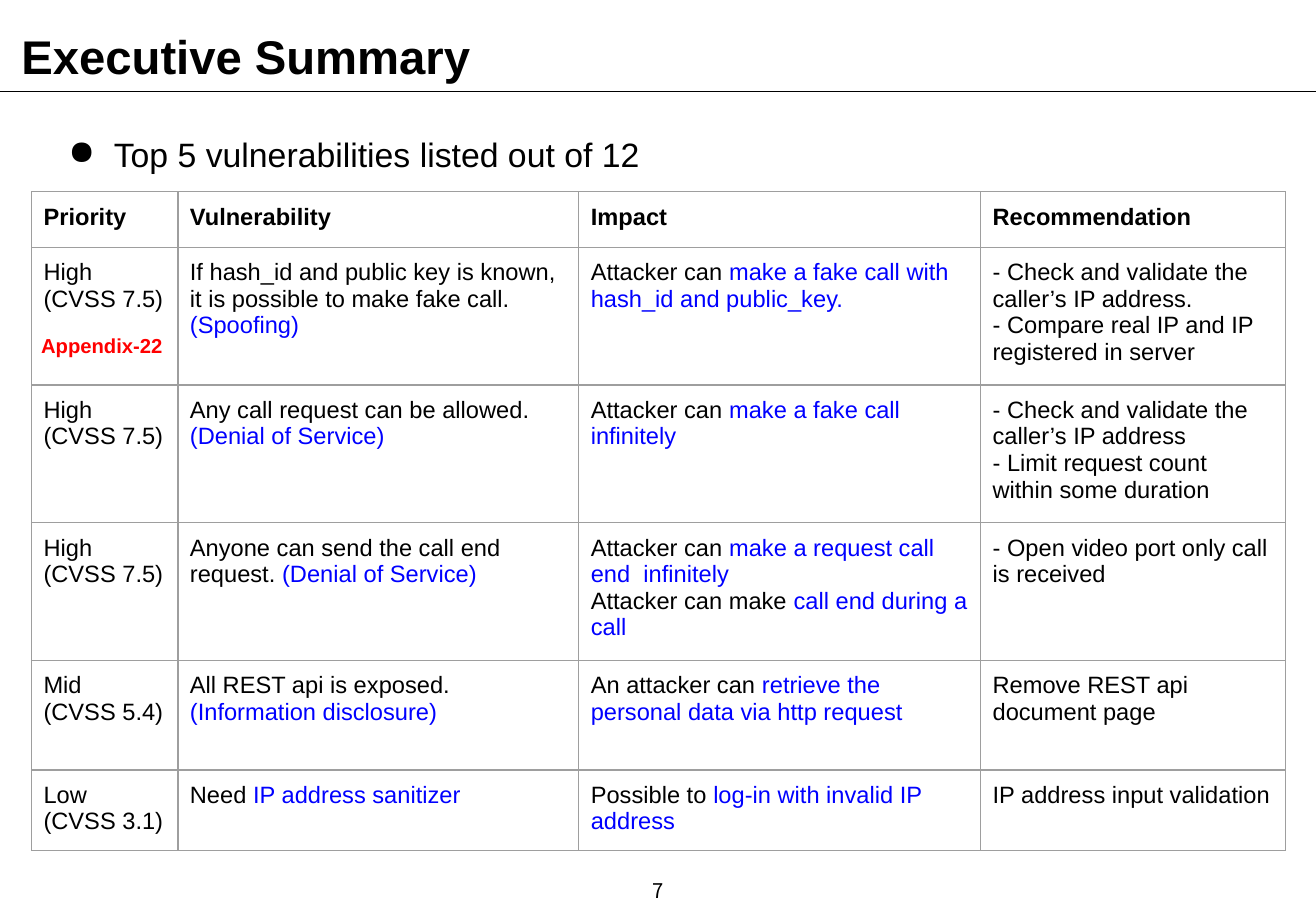
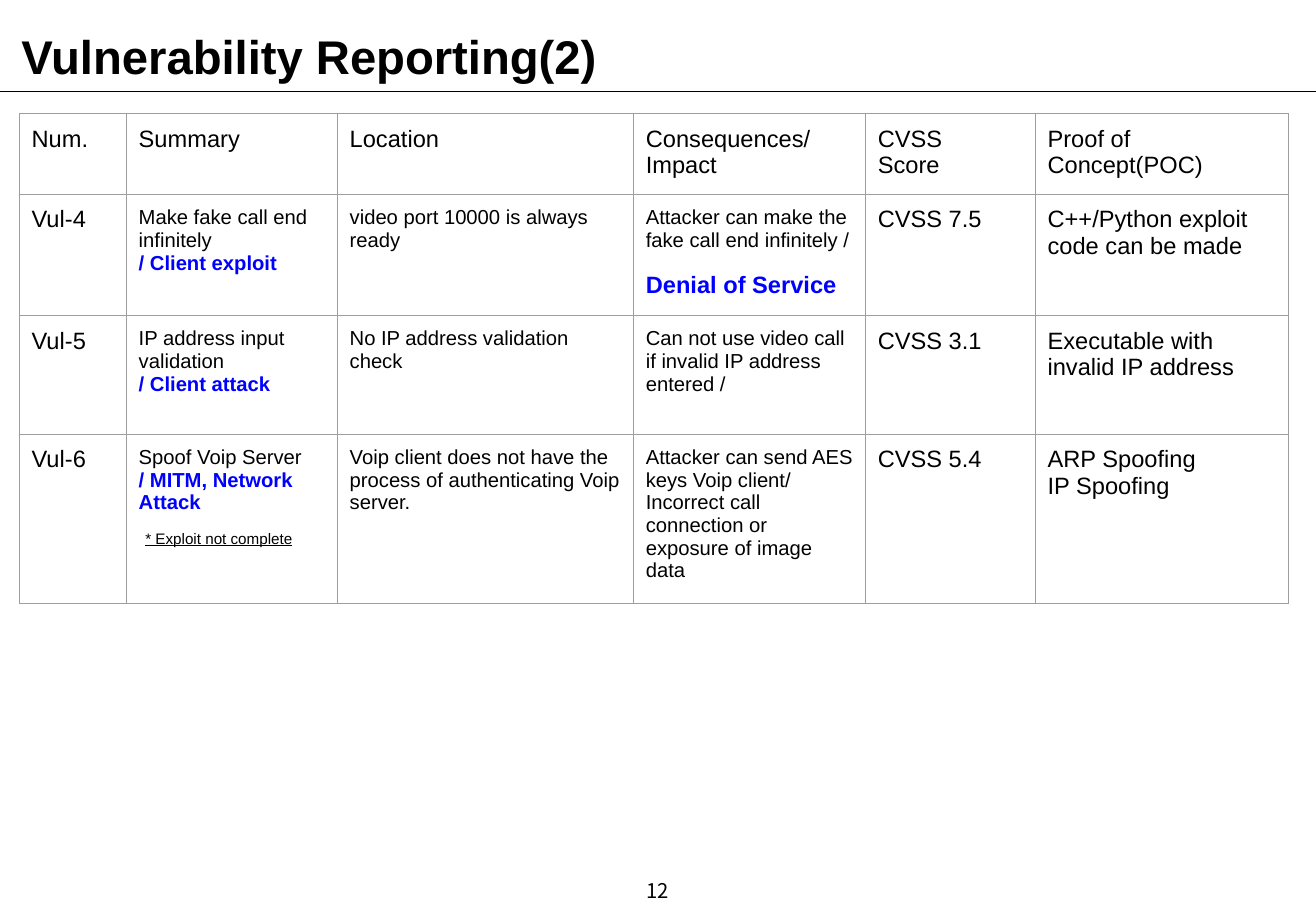
import pptx
import pptx.dml.color
import pptx.enum.shapes
import pptx.enum.text
import pptx.oxml
import pptx.oxml.ns
import pptx.util
from pptx.util import Cm, Pt

RGBColor = pptx.dml.color.RGBColor
BLACK = RGBColor(0x00, 0x00, 0x00)
BLUE = RGBColor(0x00, 0x00, 0xFF)
RED = RGBColor(0xFF, 0x00, 0x00)
GREY = RGBColor(0x9E, 0x9E, 0x9E)

BODY_FONT = "Arial"
NUMBER_FONT = "Noto Sans CJK KR"
PAGE_WIDTH, PAGE_HEIGHT = Cm(27.51), Cm(19.05)
RULE_TOP = Cm(1.91)
INSET = Cm(0.25)
THIN_INSET = Cm(0.13)

# Text between bars is highlighted; each line break starts a paragraph.
SUMMARY_ROWS = [
    ["Priority", "Vulnerability", "Impact", "Recommendation"],
    ["High\n(CVSS 7.5)",
     "If hash_id and public key is known, it is possible to make fake call.\n|(Spoofing)|",
     "Attacker can |make a fake call with hash_id and public_key.|",
     "- Check and validate the caller’s IP address.\n"
     "- Compare real IP and IP registered in server"],
    ["High\n(CVSS 7.5)",
     "Any call request can be allowed.\n|(Denial of Service)|",
     "Attacker can |make a fake call infinitely|",
     "- Check and validate the caller’s IP address\n"
     "- Limit request count within some duration"],
    ["High\n(CVSS 7.5)",
     "Anyone can send the call end request. |(Denial of Service)|",
     "Attacker can |make a request call end  infinitely|\n"
     "Attacker can make |call end during a call|",
     "- Open video port only call is received"],
    ["Mid\n(CVSS 5.4)",
     "All REST api is exposed.\n|(Information disclosure)|",
     "An attacker can |retrieve the personal data via http request|",
     "Remove REST api document page"],
    ["Low\n(CVSS 3.1)",
     "Need |IP address sanitizer|",
     "Possible to |log-in with invalid IP address|",
     "IP address input validation"],
]
SUMMARY_COLUMNS = [3.06, 8.38, 8.4, 6.38]
SUMMARY_HEIGHTS = [1.16, 2.88, 2.88, 2.87, 2.3, 1.69]

REPORT_ROWS = [
    ["Num.", "Summary", "Location", "Consequences/\nImpact", "CVSS\nScore",
     "Proof of\nConcept(POC)"],
    ["Vul-4", "Make fake call end infinitely\n|/ Client exploit|",
     "video port 10000 is always ready",
     "Attacker can make the fake call end infinitely /\n|Denial of Service|",
     "CVSS 7.5", "C++/Python exploit code can be made"],
    ["Vul-5", "IP address input validation\n|/ Client attack|",
     "No IP address validation check",
     "Can not use video call if invalid IP address entered /",
     "CVSS 3.1", "Executable with invalid IP address"],
    ["Vul-6", "Spoof Voip Server\n|/ MITM, Network Attack|",
     "Voip client does not have the process of authenticating Voip server.",
     "Attacker can send AES keys Voip client/ Incorrect call connection "
     "or exposure of image data",
     "CVSS 5.4", "ARP Spoofing\nIP Spoofing"],
]
REPORT_COLUMNS = [2.24, 4.41, 6.19, 4.85, 3.55, 5.29]
REPORT_HEIGHTS = [1.62, 2.48, 2.48, 3.36]
REPORT_DETAIL_COLUMNS = (1, 2, 3)


def set_font(font, size, color=BLACK, name=BODY_FONT, **styles):
    font.color.rgb = color
    for key, value in {"size": Pt(size), "name": name, **styles}.items():
        setattr(font, key, value)


def add_text(slide, frame, text, size, inset=THIN_INSET, anchor="TOP", **font_format):
    """Add a one-paragraph box; frame is left, top, width, height in cm."""
    box = slide.shapes.add_textbox(*map(Cm, frame))
    settings = {
        "word_wrap": True, "margin_left": INSET, "margin_right": INSET,
        "margin_top": inset, "margin_bottom": inset,
        "vertical_anchor": pptx.enum.text.MSO_ANCHOR[anchor],
    }
    for key, value in settings.items():
        setattr(box.text_frame, key, value)
    para = box.text_frame.paragraphs[0]
    span = para.add_run()
    span.text = text
    set_font(span.font, size, **font_format)
    return para


def add_bullet(para):
    properties = para._p.get_or_add_pPr()
    properties.set("marL", str(Cm(1.27)))
    properties.set("indent", str(Cm(-0.95)))
    namespace = pptx.oxml.ns.nsdecls("a")
    for xml in (f'<a:buClr {namespace}><a:srgbClr val="{BLACK}"/></a:buClr>',
                f'<a:buChar {namespace} char="●"/>'):
        properties.append(pptx.oxml.parse_xml(xml))


def add_page(deck, title, number):
    """Add a slide with the shared title, rule and page number."""
    slide = deck.slides.add_slide(deck.slide_layouts[6])
    rule = slide.shapes.add_connector(
        pptx.enum.shapes.MSO_CONNECTOR.STRAIGHT, 0, RULE_TOP, PAGE_WIDTH, RULE_TOP)
    rule.line.color.rgb = BLACK
    rule.line.width = Pt(0.75)
    rule._element.spPr.append(
        pptx.oxml.parse_xml(f'<a:effectLst {pptx.oxml.ns.nsdecls("a")}/>'))
    heading = add_text(slide, (0.2, 0.2, 19.84, 1.7), title, 28, bold=True)
    heading.line_spacing = 1.2
    footer = add_text(slide, (10.54, 18.11, 6.43, 1.02), str(number), 12,
                      anchor="MIDDLE", name=NUMBER_FONT)
    footer.alignment = pptx.enum.text.PP_ALIGN.CENTER
    return slide


def style_cell(cell):
    for side in ("left", "right", "top", "bottom"):
        setattr(cell, f"margin_{side}", INSET)
    properties = cell._tc.get_or_add_tcPr()
    for edge in ("lnL", "lnR", "lnT", "lnB"):
        properties.append(pptx.oxml.parse_xml(
            f'<a:{edge} {pptx.oxml.ns.nsdecls("a")} w="{Pt(0.75)}"><a:solidFill>'
            f'<a:srgbClr val="{GREY}"/></a:solidFill></a:{edge}>'))
    cell.fill.background()


def fill_cell(cell, text, size, bold, highlight_bold):
    for index, line in enumerate(text.split("\n")):
        frame = cell.text_frame
        para = frame.add_paragraph() if index else frame.paragraphs[0]
        for part, words in enumerate(line.split("|")):
            if words:
                highlighted = part % 2 == 1
                span = para.add_run()
                span.text = words
                set_font(span.font, size, BLUE if highlighted else BLACK,
                         bold=highlight_bold if highlighted else bold)


def add_grid(slide, left, top, rows, widths, heights, header_bold=False,
             highlight_bold=False, detail_columns=()):
    """Add a table; body cells in detail_columns use the smaller size."""
    table = slide.shapes.add_table(
        len(rows), len(widths), Cm(left), Cm(top),
        Cm(sum(widths)), Cm(sum(heights))).table
    table.first_row = table.horz_banding = False
    for column, width in zip(table.columns, widths):
        column.width = Cm(width)
    for row, height in zip(table.rows, heights):
        row.height = Cm(height)
    for row_index, texts in enumerate(rows):
        for column_index, text in enumerate(texts):
            cell = table.cell(row_index, column_index)
            style_cell(cell)
            size = 12 if row_index and column_index in detail_columns else 14
            fill_cell(cell, text, size, header_bold and row_index == 0, highlight_bold)
    return table


def build_summary(deck):
    slide = add_page(deck, "Executive Summary", 7)
    intro = add_text(slide, (0.86, 2.67, 23.7, 1.12),
                     "Top 5 vulnerabilities listed out of 12", 20)
    add_bullet(intro)
    add_grid(slide, 0.66, 4.01, SUMMARY_ROWS, SUMMARY_COLUMNS, SUMMARY_HEIGHTS,
             header_bold=True)
    add_text(slide, (0.61, 6.71, 3.91, 1.02), "Appendix-22", 12, inset=INSET,
             color=RED, bold=True)


def build_report(deck):
    slide = add_page(deck, "Vulnerability Reporting(2)", 12)
    table = add_grid(slide, 0.41, 2.38, REPORT_ROWS, REPORT_COLUMNS, REPORT_HEIGHTS,
                     highlight_bold=True, detail_columns=REPORT_DETAIL_COLUMNS)
    threat = table.cell(1, 3).text_frame.paragraphs[1]
    threat.space_before = Pt(12)
    threat.runs[0].font.size = Pt(14)
    add_text(slide, (2.79, 10.74, 4.09, 1.02), "* Exploit not complete", 9,
             inset=INSET, anchor="MIDDLE", underline=True)


def main():
    deck = pptx.Presentation()
    deck.slide_width, deck.slide_height = PAGE_WIDTH, PAGE_HEIGHT
    build_summary(deck)
    build_report(deck)
    deck.save("out.pptx")


if __name__ == "__main__":
    main()
